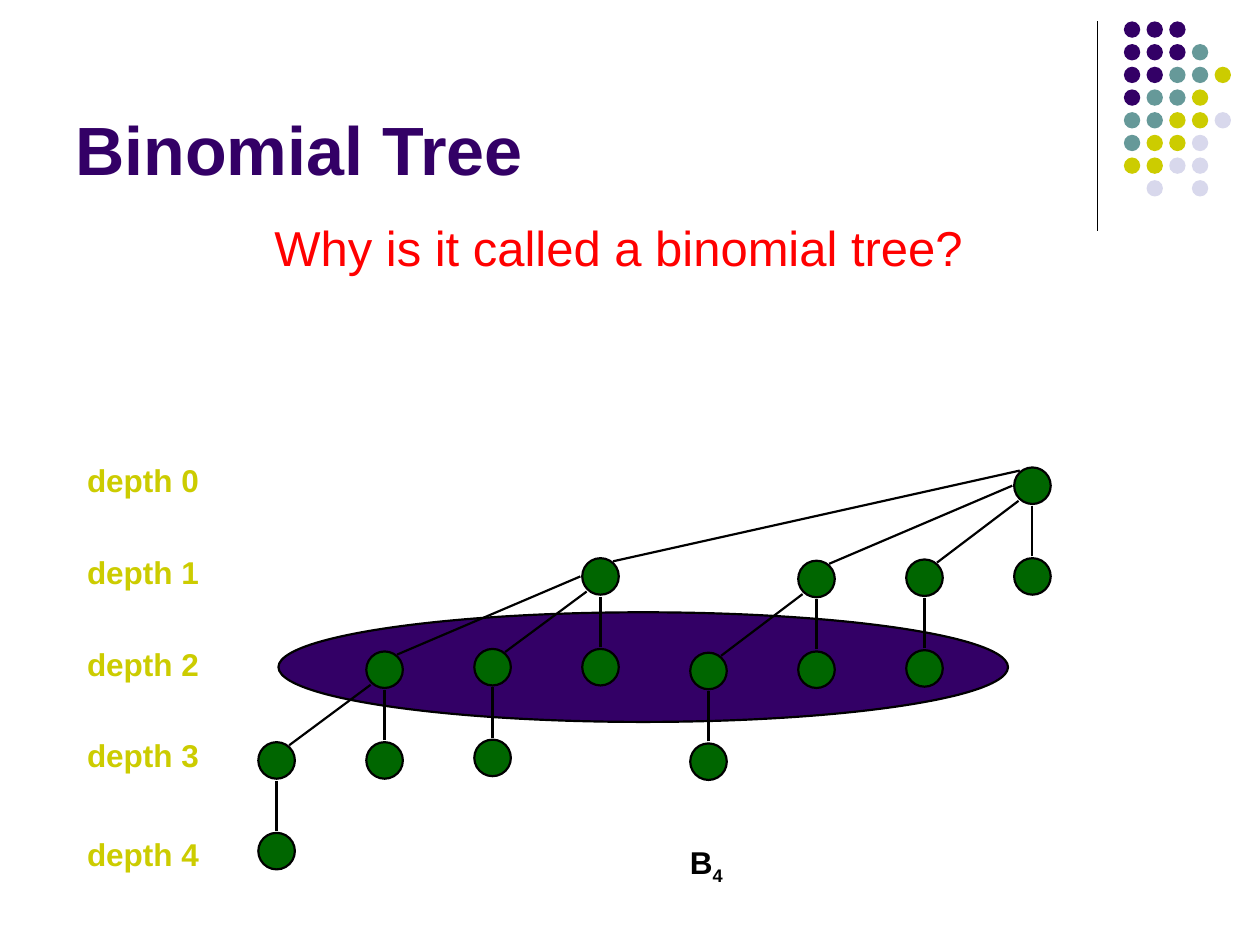
from lxml import etree
from pptx import Presentation
from pptx.dml.color import RGBColor
from pptx.enum import shapes, text
from pptx.oxml.ns import qn
from pptx.util import Inches, Pt

FONT = "Arial"
PURPLE = RGBColor(0x33, 0x00, 0x66)
TEAL = RGBColor(0x66, 0x99, 0x99)
OLIVE = RGBColor(0xCC, 0xCC, 0x00)
LAVENDER = RGBColor(0xD8, 0xD8, 0xEC)
GREEN = RGBColor(0x00, 0x66, 0x00)
RED = RGBColor(0xFF, 0x00, 0x00)
BLACK = RGBColor(0x00, 0x00, 0x00)

DOT_COLORS = {"P": PURPLE, "T": TEAL, "O": OLIVE, "L": LAVENDER}
DOT_ROWS = ["PPP", "PPPT", "PPTTO", "PTTO", "TTOOL", "TOOL", "OOLL", " L L"]
DOT_LEFT, DOT_TOP, DOT_STEP, DOT_SIZE = 8.92, 0.17, 0.18, 0.13

DEPTH_TOPS = [3.61, 4.34, 5.07, 5.79, 6.58]

# Tree nodes: (column, depth): top
NODES = {
    (7, 0): 3.71,
    (3, 1): 4.43, (5, 1): 4.45, (6, 1): 4.44, (7, 1): 4.43,
    (1, 2): 5.17, (2, 2): 5.15, (3, 2): 5.15,
    (4, 2): 5.18, (5, 2): 5.17, (6, 2): 5.16,
    (0, 3): 5.89, (1, 3): 5.89, (2, 3): 5.87, (4, 3): 5.9,
    (0, 4): 6.61,
}
# Columns of the children of each inner node
CHILDREN = {
    (7, 0): [3, 5, 6, 7],
    (3, 1): [1, 2, 3], (5, 1): [4, 5], (6, 1): [6],
    (1, 2): [0, 1], (2, 2): [2], (4, 2): [4],
    (0, 3): [0],
}
NODE_LEFT, COLUMN_STEP, NODE_SIZE = 2.05, 0.857, 0.29

# Columns spanned by an edge: its offset from the parent's centre
PARENT_OFFSETS = {0: (0, 0.16), 1: (-0.11, 0.12), 2: (-0.16, 0), 4: (-0.1, -0.12)}


def add_ellipse(s, left, top, width, height, fill, outlined=True):
    sp = s.shapes.add_shape(shapes.MSO_SHAPE.OVAL, Inches(left), Inches(top),
                            Inches(width), Inches(height))
    sp.shadow.inherit = False
    sp.fill.solid()
    sp.fill.fore_color.rgb = fill
    if outlined:
        sp.line.color.rgb = BLACK
        sp.line.width = Pt(1.25)
    else:
        sp.line.fill.background()


def add_line(s, start, end, width):
    line = s.shapes.add_connector(shapes.MSO_CONNECTOR.STRAIGHT,
                                  *(Inches(v) for v in (*start, *end)))
    line.line.color.rgb = BLACK
    line.line.width = Pt(width)
    etree.SubElement(line._element.spPr, qn("a:effectLst"))


def add_text(s, box, content, size, color, bold=True, align=text.PP_ALIGN.CENTER,
             anchor=text.MSO_ANCHOR.TOP):
    tf = s.shapes.add_textbox(*(Inches(v) for v in box)).text_frame
    tf.word_wrap = True
    tf.vertical_anchor = anchor
    p = tf.paragraphs[0]
    p.text = content
    p.alignment = align
    p.font.name, p.font.size, p.font.bold = FONT, Pt(size), bold
    p.font.color.rgb = color
    return p


def add_dots(s):
    for row, codes in enumerate(DOT_ROWS):
        for col, code in enumerate(codes):
            if code in DOT_COLORS:
                add_ellipse(s, DOT_LEFT + col * DOT_STEP, DOT_TOP + row * DOT_STEP,
                            DOT_SIZE, DOT_SIZE, DOT_COLORS[code], outlined=False)


def node_left(col):
    return NODE_LEFT + col * COLUMN_STEP


def near_node(node, dx, dy):
    """Point at the given offset from a node's centre."""
    half = NODE_SIZE / 2
    return node_left(node[0]) + half + dx, NODES[node] + half + dy


def add_tree(s):
    for (col, depth), top in NODES.items():
        add_ellipse(s, node_left(col), top, NODE_SIZE, NODE_SIZE, GREEN)
    for parent, cols in CHILDREN.items():
        for col in cols:
            span = parent[0] - col
            child_offset = (0.1, -0.12) if span else (0, -0.16)
            add_line(s, near_node((col, parent[1] + 1), *child_offset),
                     near_node(parent, *PARENT_OFFSETS[span]), 1.25)


def main():
    prs = Presentation()
    prs.slide_width, prs.slide_height = Inches(10), Inches(7.5)
    s = prs.slides.add_slide(prs.slide_layouts[6])

    add_line(s, (8.71, 0.17), (8.71, 1.83), 0.75)
    add_dots(s)
    add_text(s, (0.5, 0.13, 8.25, 1.42), "Binomial Tree", 39, PURPLE,
             align=text.PP_ALIGN.LEFT, anchor=text.MSO_ANCHOR.BOTTOM)
    add_text(s, (2.08, 1.68, 5.83, 0.57), "Why is it called a binomial tree?", 28, RED,
             bold=False, align=text.PP_ALIGN.LEFT)

    add_ellipse(s, 2.21, 4.86, 5.79, 0.87, PURPLE)
    add_tree(s)
    for depth, top in enumerate(DEPTH_TOPS):
        add_text(s, (0.56, top, 1.15, 0.4), f"depth {depth}", 18, OLIVE)

    order = add_text(s, (5.26, 6.64, 0.69, 0.4), "B", 18, BLACK).add_run()
    order.text = "4"
    order.font._element.set("baseline", "-25000")

    prs.save("out.pptx")


if __name__ == "__main__":
    main()
